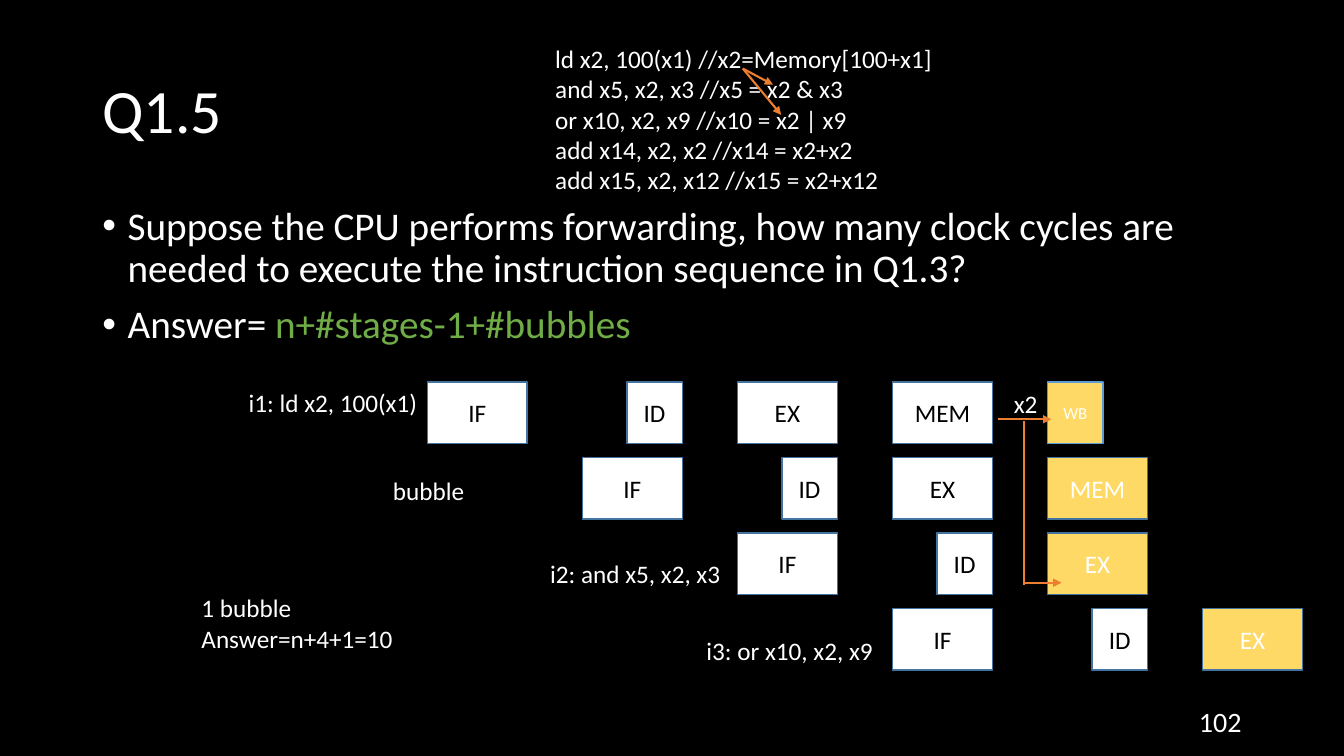
from lxml import etree
from pptx import Presentation
from pptx.dml.color import RGBColor
from pptx.enum.shapes import MSO_CONNECTOR, MSO_SHAPE
from pptx.enum.text import MSO_ANCHOR, MSO_AUTO_SIZE, PP_ALIGN
from pptx.oxml.ns import qn
from pptx.util import Pt

STRAIGHT = MSO_CONNECTOR.STRAIGHT
RECTANGLE = MSO_SHAPE.RECTANGLE
MIDDLE, TOP = MSO_ANCHOR.MIDDLE, MSO_ANCHOR.TOP
NO_AUTOFIT = MSO_AUTO_SIZE.NONE
LEFT, CENTER, RIGHT = PP_ALIGN.LEFT, PP_ALIGN.CENTER, PP_ALIGN.RIGHT

WHITE, BLACK, GREEN = "FFFFFF", "000000", "70AD47"
ORANGE, YELLOW = "ED7D31", "FFD966"
DARK_BLUE, LIGHT_BLUE = "43739E", "5B9BD5"

CODE = [
    "ld x2, 100(x1) //x2=Memory[100+x1]",
    "and x5, x2, x3 //x5 = x2 & x3",
    "or x10, x2, x9 //x10 = x2 | x9",
    "add x14, x2, x2 //x14 = x2+x2",
    "add x15, x2, x12 //x15 = x2+x12",
]
BULLETS = [
    [("Suppose the CPU performs forwarding, how many clock cycles are "
      "needed to execute the instruction sequence in Q1.3?", WHITE)],
    [("Answer=", WHITE), (" n+#stages-1+#bubbles", GREEN)],
]
STAGES = ["IF", "ID", "EX", "MEM", "WB"]
STAGES_SHOWN = [5, 4, 3, 3]
FIRST_SHADED_CYCLE = 4
GRID_LEFT, GRID_TOP = 305.3, 272.8
CYCLE_PITCH, ROW_PITCH = 110.75, 54
STAGE_WIDTH, HALF_STAGE_WIDTH, STAGE_HEIGHT = 71.3, 39.6, 43.9
LABELS = [
    (["i1: ld x2, 100(x1)"], 170.6, 272.9, 136.8, 28.8),
    (["bubble"], 273.6, 336.2, 66.2, 28.8),
    (["i2: and x5, x2, x3"], 385.9, 395.3, 141.8, 28.8),
    (["i3: or x10, x2, x9"], 497.5, 450, 139, 28.8),
    (["x2"], 717.1, 273.6, 31.7, 28.8),
    (["1 bubble", "Answer=n+4+1=10"], 136.8, 419.8, 152.6, 51.1),
]
CODE_ARROWS = [(530.6, 49, 552.2, 60.5), (530.6, 49, 558, 82.1)]
FORWARDING_ARROWS = [(712.8, 299.5, 751, 299.5), (732.2, 416.2, 758.2, 416.2)]


def color(value):
    """Turn a hex string into a colour."""
    return RGBColor.from_string(value)


class SlideBuilder:
    """Hold the style and the current slide, and add its elements."""

    font_name = "Calibri"
    text_size = 18
    arrow_width = 1.5

    def __init__(self, slide):
        """Take the slide and paint its background."""
        self.slide = slide
        slide.background.fill.solid()
        slide.background.fill.fore_color.rgb = color(BLACK)

    def style(self, paragraph, size, text_color, alignment=LEFT):
        """Set the font and alignment of a paragraph."""
        paragraph.alignment = alignment
        paragraph.font.name = self.font_name
        paragraph.font.size = Pt(size)
        paragraph.font.color.rgb = color(text_color)

    def place(self, shape, left, top, width, height):
        """Move and size a placeholder."""
        shape.left, shape.top = Pt(left), Pt(top)
        shape.width, shape.height = Pt(width), Pt(height)
        shape.text_frame.auto_size = NO_AUTOFIT

    def title(self, text, *box):
        """Fill the title placeholder."""
        shape = self.slide.shapes.title
        self.place(shape, *box)
        shape.text_frame.vertical_anchor = MIDDLE
        shape.text_frame.text = text
        paragraph = shape.text_frame.paragraphs[0]
        paragraph.line_spacing = 0.9
        self.style(paragraph, 44, WHITE)

    def body(self, items, *box):
        """Fill the body placeholder with bulleted paragraphs."""
        shape = self.slide.placeholders[1]
        self.place(shape, *box)
        frame = shape.text_frame
        for index, runs in enumerate(items):
            paragraph = frame.add_paragraph() if index else frame.paragraphs[0]
            self.bullet(paragraph)
            paragraph.line_spacing = 0.9
            paragraph.space_before = Pt(10 if index else 0)
            self.style(paragraph, 28, WHITE)
            for text, run_color in runs:
                run = paragraph.add_run()
                run.text = text
                if run_color != WHITE:
                    run.font.color.rgb = color(run_color)

    def bullet(self, paragraph):
        """Give a paragraph a round bullet and a hanging indent."""
        properties = paragraph._p.get_or_add_pPr()
        properties.set("marL", str(Pt(18)))
        properties.set("indent", str(Pt(-18)))
        etree.SubElement(properties, qn("a:buFont"), typeface="Arial")
        etree.SubElement(properties, qn("a:buChar"), char="•")

    def text(self, lines, left, top, width, height, size=text_size,
             alignment=LEFT, wrap=False, anchor=TOP):
        """Add a text box with one paragraph per line."""
        shape = self.slide.shapes.add_textbox(Pt(left), Pt(top), Pt(width), Pt(height))
        frame = shape.text_frame
        frame.word_wrap = wrap
        frame.vertical_anchor = anchor
        frame.text = "\n".join(lines)
        for paragraph in frame.paragraphs:
            self.style(paragraph, size, WHITE, alignment)

    def stage(self, name, row, cycle):
        """Add a pipeline stage at its row and clock cycle."""
        shaded = cycle >= FIRST_SHADED_CYCLE and name != "ID"
        width = HALF_STAGE_WIDTH if name in ("ID", "WB") else STAGE_WIDTH
        left = GRID_LEFT + cycle * CYCLE_PITCH
        if name == "ID":
            left += STAGE_WIDTH - HALF_STAGE_WIDTH
        shape = self.slide.shapes.add_shape(
            RECTANGLE, Pt(left), Pt(GRID_TOP + row * ROW_PITCH), Pt(width), Pt(STAGE_HEIGHT))
        shape.shadow.inherit = False
        shape.fill.solid()
        shape.fill.fore_color.rgb = color(YELLOW if shaded else WHITE)
        shape.line.color.rgb = color(LIGHT_BLUE if name == "WB" else DARK_BLUE)
        shape.line.width = Pt(1)
        frame = shape.text_frame
        frame.vertical_anchor = MIDDLE
        frame.text = name
        size = 12 if name == "WB" else self.text_size
        self.style(frame.paragraphs[0], size, WHITE if shaded else BLACK, CENTER)

    def line(self, start_x, start_y, end_x, end_y, arrow=True):
        """Add a straight line, with an arrowhead at its end if wanted."""
        connector = self.slide.shapes.add_connector(
            STRAIGHT, Pt(start_x), Pt(start_y), Pt(end_x), Pt(end_y))
        connector.line.color.rgb = color(ORANGE)
        connector.line.width = Pt(self.arrow_width)
        if arrow:
            etree.SubElement(connector.line._get_or_add_ln(), qn("a:tailEnd"), type="triangle")
        etree.SubElement(connector._element.spPr, qn("a:effectLst"))


def main():
    """Build the slide and save it."""
    presentation = Presentation()
    presentation.slide_width, presentation.slide_height = Pt(960), Pt(540)
    slide = presentation.slides.add_slide(presentation.slide_layouts[1])
    builder = SlideBuilder(slide)

    builder.title("Q1.5", 66, 28.8, 828, 104.4)
    builder.body(BULLETS, 66, 143.8, 828, 342.7)
    builder.text(["102"], 678, 500.5, 216, 28.8, size=20, alignment=RIGHT,
                 wrap=True, anchor=MIDDLE)
    builder.text(CODE, 389.5, 27.4, 480.2, 116.6, wrap=True)
    for arrow in CODE_ARROWS:
        builder.line(*arrow)

    for row, count in enumerate(STAGES_SHOWN):
        for step, name in enumerate(STAGES[:count]):
            builder.stage(name, row, row + step)

    builder.line(731.5, 301, 731.5, 417.6, arrow=False)
    for arrow in FORWARDING_ARROWS:
        builder.line(*arrow)
    for label in LABELS:
        builder.text(*label)

    presentation.save("out.pptx")


if __name__ == "__main__":
    main()
